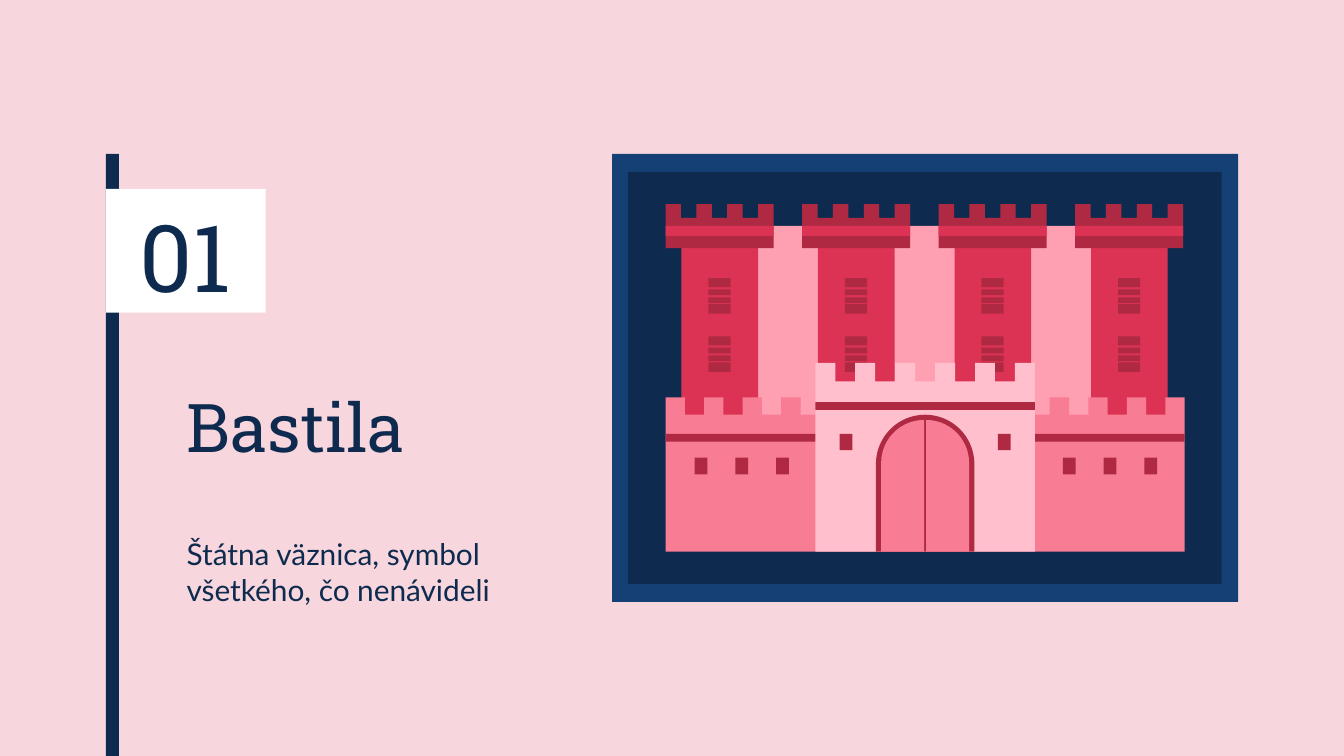
from math import cos, pi, sin

from pptx import Presentation
from pptx.dml.color import RGBColor
from pptx.enum.shapes import MSO_SHAPE
from pptx.enum.text import MSO_ANCHOR, PP_ALIGN
from pptx.util import Cm, Pt

COLORS = {
    "background": "F7D6DD", "navy": "0E2B4F", "frame": "154075",
    "white": "FFFFFF", "back wall": "FF9FB2", "tower": "DC3354",
    "trim": "B02943", "outer wall": "F77C94", "gatehouse": "FFBFCC",
}


class SlideBuilder:
    """Hold the style and the current page, and draw elements in centimetres."""

    def __init__(self, deck):
        """Add a blank page with the background colour."""
        self.page = deck.slides.add_slide(deck.slide_layouts[6])
        fill = self.page.background.fill
        fill.solid()
        fill.fore_color.rgb = self.color("background")

    def color(self, name):
        """Return a named colour."""
        return RGBColor.from_string(COLORS[name])

    def paint(self, shape, color):
        """Give a shape a flat fill without line or shadow."""
        shape.shadow.inherit = False
        shape.fill.solid()
        shape.fill.fore_color.rgb = self.color(color)
        shape.line.fill.background()
        return shape

    def block(self, left, top, width, height, color, kind=MSO_SHAPE.RECTANGLE):
        """Draw a preset shape."""
        shape = self.page.shapes.add_shape(
            kind, Cm(left), Cm(top), Cm(width), Cm(height))
        return self.paint(shape, color)

    def outline(self, points, color):
        """Draw a closed polygon."""
        corners = [(Cm(x), Cm(y)) for x, y in points]
        builder = self.page.shapes.build_freeform(*corners[0])
        builder.add_line_segments(corners[1:], close=True)
        return self.paint(builder.convert_to_shape(), color)

    def battlement(self, left, top, width, height, depth, merlons, color):
        """Draw a wall whose top edge rises at each (start, width) merlon."""
        bottom, low = top + height, top + depth
        points = [(left, bottom)]
        for start, size in merlons:
            end = start + size
            points += [(start, low), (start, top), (end, top), (end, low)]
        self.outline(points + [(left + width, bottom)], color)

    def text(self, words, left, top, width, height, size, font,
             align=PP_ALIGN.LEFT, anchor=MSO_ANCHOR.MIDDLE):
        """Add a wrapped text box with one paragraph."""
        box = self.page.shapes.add_textbox(
            Cm(left), Cm(top), Cm(width), Cm(height))
        frame = box.text_frame
        layout = {"word_wrap": True, "vertical_anchor": anchor}
        for side in ("left", "top", "right", "bottom"):
            layout["margin_" + side] = Cm(0.25)
        for name, value in layout.items():
            setattr(frame, name, value)
        para = frame.paragraphs[0]
        para.alignment = align
        span = para.add_run()
        span.text = words
        for name, value in {"name": font, "size": Pt(size)}.items():
            setattr(span.font, name, value)
        span.font.color.rgb = self.color("navy")


def even_merlons(left, width, count):
    """Return equal merlons with gaps of the same width between them."""
    size = width / (2 * count - 1)
    return [(left + 2 * size * i, size) for i in range(count)]


def draw_tower(slide, left):
    """Draw a tower with its crown and two barred windows."""
    slide.block(left + 0.3, 4.52, 1.45, 3.84, "tower")
    slide.battlement(left, 3.86, 2.04, 0.83, 0.26,
                     even_merlons(left, 2.04, 4), "trim")
    slide.block(left, 4.27, 2.04, 0.19, "tower")
    for window_top in (5.26, 6.36):
        for offset, height in ((0, 0.17), (0.21, 0.11), (0.36, 0.11), (0.49, 0.18)):
            slide.block(left + 0.81, window_top + offset, 0.42, height, "trim")


def draw_door(slide, center, bottom):
    """Draw the arched door with two leaves."""
    door = slide.block(center - 0.93, 7.84, 1.86, bottom - 7.84, "trim",
                       MSO_SHAPE.ROUND_2_SAME_RECTANGLE)
    door.adjustments[0] = 0.5
    radius, steps = 0.81, 24
    for side in (-1, 1):
        hinge = center + side * 0.02
        angles = [pi / 2 * i / steps for i in range(steps + 1)]
        arc = [(hinge + side * radius * sin(a), 8.75 - radius * cos(a))
               for a in angles]
        slide.outline(arc + [(hinge + side * radius, bottom), (hinge, bottom)],
                      "outer wall")


def draw_castle(slide):
    """Draw the fortress from back to front."""
    left, width, bottom = 12.58, 9.81, 10.43
    slide.block(12.9, 4.27, 9.14, 3.68, "back wall")
    for i in range(4):
        draw_tower(slide, left + 2.58 * i)

    wing = 2.55
    merlons = even_merlons(left, wing, 4) + even_merlons(left + width - wing, wing, 4)
    slide.battlement(left, 7.51, width, bottom - 7.51, 0.33, merlons, "outer wall")
    slide.block(left, 8.2, width, 0.15, "trim")

    gate_left, gate_width = 15.41, 4.15
    slide.battlement(gate_left, 6.86, gate_width, bottom - 6.86, 0.35,
                     even_merlons(gate_left, gate_width, 6), "gatehouse")
    slide.block(gate_left, 7.6, gate_width, 0.15, "trim")
    for x in (15.87, 18.86):
        slide.block(x, 8.2, 0.24, 0.31, "trim")
    for start in (13.13, 20.09):
        for i in range(3):
            slide.block(start + 0.77 * i, 8.65, 0.24, 0.32, "trim")
    draw_door(slide, gate_left + gate_width / 2, bottom)


def main():
    """Build and save the deck."""
    deck = Presentation()
    deck.slide_width, deck.slide_height = Cm(25.4), Cm(14.29)
    slide = SlideBuilder(deck)
    slide.text("Bastila", 3.28, 6.12, 7.01, 3.84, 36, "Roboto Slab")
    slide.text("Štátna väznica, symbol všetkého, čo nenávideli",
               3.28, 9.88, 7.01, 2.11, 16, "Lato", anchor=MSO_ANCHOR.TOP)
    slide.block(11.57, 2.91, 11.83, 8.47, "frame")
    slide.block(11.87, 3.25, 11.22, 7.79, "navy")
    draw_castle(slide)
    slide.block(2, 2.91, 0.25, 11.38, "navy")
    slide.block(2, 3.57, 3.02, 2.34, "white")
    slide.text("01", 2, 3.66, 3.02, 2.34, 50, "Roboto Slab", PP_ALIGN.CENTER)
    deck.save("out.pptx")


main()
